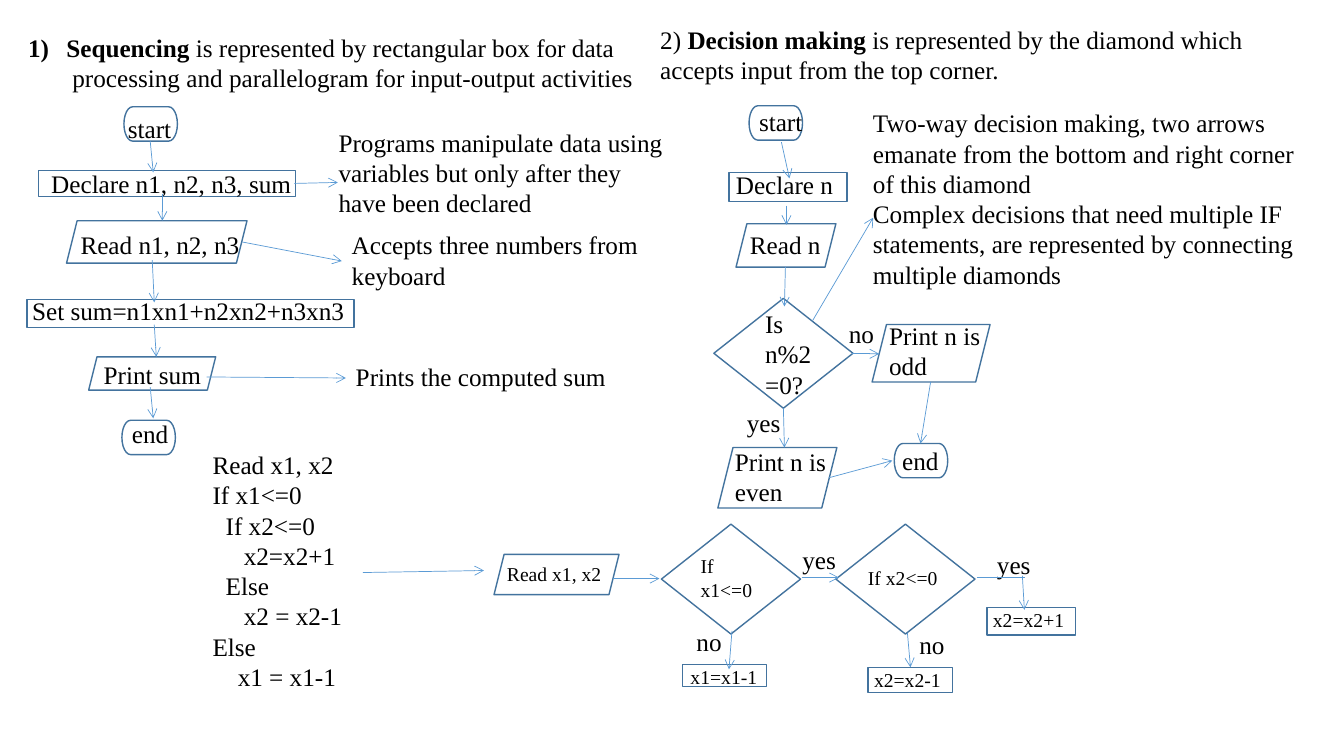
"""Build a slide of flowcharts for sequencing and decision making."""
from lxml.etree import SubElement
from pptx import Presentation
from pptx.dml.color import RGBColor
from pptx.enum.shapes import MSO_CONNECTOR, MSO_SHAPE
from pptx.enum.text import MSO_AUTO_SIZE
from pptx.oxml.ns import qn
from pptx.util import Inches, Pt

COLORS = {"ink": "000000", "edge": "43739E", "arrow": "5B9BD5"}
FONT = {"name": "Times New Roman"}
FRAME = {"auto_size": MSO_AUTO_SIZE.SHAPE_TO_FIT_TEXT}

deck = Presentation()
deck.slide_width, deck.slide_height = Inches(13.33), Inches(7.5)
slide = deck.slides.add_slide(deck.slide_layouts[6])


def write(left, top, width, height, text, size=18):
    box = slide.shapes.add_textbox(*map(Inches, (left, top, width, height)))
    frame = box.text_frame
    for key, value in FRAME.items():
        setattr(frame, key, value)
    frame.word_wrap = height > 0.5
    for row, line in enumerate(text.split("\n")):
        para = frame.paragraphs[0] if row == 0 else frame.add_paragraph()
        for part, words in enumerate(line.split("*")):
            if words:
                run = para.add_run()
                run.text = words
                for key, value in FONT.items():
                    setattr(run.font, key, value)
                run.font.size = Pt(size)
                run.font.bold = part % 2 == 1
                run.font.color.rgb = RGBColor.from_string(COLORS["ink"])
    return frame.paragraphs


def link(start, end, head=True):
    line = slide.shapes.add_connector(
        MSO_CONNECTOR.STRAIGHT, *map(Inches, (*start, *end)))
    line.line.width = Pt(0.5)
    line.line.color.rgb = RGBColor.from_string(COLORS["arrow"])
    if head:
        SubElement(line.line._get_or_add_ln(), qn("a:tailEnd"), type="arrow")
    SubElement(line._element.spPr, qn("a:effectLst"))


SHAPES = {
    MSO_SHAPE.FLOWCHART_TERMINATOR: [
        (1.23, 1.06, 0.53, 0.34), (1.21, 4.17, 0.53, 0.34),
        (7.43, 1.05, 0.53, 0.34), (8.87, 4.4, 0.53, 0.34)],
    MSO_SHAPE.RECTANGLE: [
        (0.38, 1.69, 2.55, 0.26), (0.27, 2.97, 3.24, 0.28),
        (7.23, 1.71, 1.17, 0.29), (6.77, 6.59, 0.83, 0.22),
        (8.61, 6.62, 0.84, 0.25), (9.79, 6.03, 0.88, 0.27)],
    MSO_SHAPE.PARALLELOGRAM: [
        (0.66, 2.19, 1.79, 0.42), (0.88, 3.54, 1.26, 0.33),
        (7.3, 2.22, 0.99, 0.43), (7.12, 4.44, 1.18, 0.6),
        (8.65, 3.22, 1.17, 0.57), (4.9, 5.5, 1.24, 0.4)],
    MSO_SHAPE.FLOWCHART_DECISION: [
        (7.08, 2.96, 1.38, 1.09), (6.56, 5.2, 1.38, 1.09),
        (8.29, 5.2, 1.38, 1.09)],
}
for kind, spots in SHAPES.items():
    for spot in spots:
        shape = slide.shapes.add_shape(kind, *map(Inches, spot))
        shape.shadow.inherit = False
        shape.fill.background()
        shape.line.width = Pt(1)
        shape.line.color.rgb = RGBColor.from_string(COLORS["edge"])

LABELS = [
    (1.17, 1.08, 0.68, 0.4, "start"),
    (0.41, 1.62, 2.68, 0.4, "Declare n1, n2, n3, sum"),
    (0.7, 2.23, 1.81, 0.4, "Read n1, n2, n3"),
    (0.22, 2.88, 3.35, 0.4, "Set sum=n1xn1+n2xn2+n3xn3"),
    (0.93, 3.52, 1.17, 0.4, "Print sum"),
    (1.21, 4.1, 0.63, 0.4, "end"),
    (3.26, 1.21, 3.51, 1.01, "Programs manipulate data using\n"
     "variables but only after they have been declared"),
    (3.39, 2.23, 3.08, 0.71, "Accepts three numbers from\nkeyboard"),
    (3.43, 3.54, 2.69, 0.4, "Prints the computed sum"),
    (6.45, 0.19, 6.63, 0.71, "2) *Decision making* is represented by the "
     "diamond which accepts input from the top corner."),
    (7.43, 1.01, 0.64, 0.4, "start"),
    (7.2, 1.63, 1.19, 0.4, "Declare n"),
    (7.34, 2.23, 0.9, 0.4, "Read n"),
    (7.49, 3.01, 0.89, 1.01, "Is n%2 =0?"),
    (7.19, 4.38, 1.19, 0.71, "Print n is even"),
    (8.72, 3.13, 1.19, 0.71, "Print n is odd"),
    (8.85, 4.37, 0.56, 0.4, "end"),
    (8.56, 1.02, 4.6, 1.92, "Two-way decision making, two arrows emanate "
     "from the bottom and right corner of this diamond\n"
     "Complex decisions that need multiple IF statements, are represented "
     "by connecting multiple diamonds"),
    (7.31, 3.99, 0.6, 0.4, "yes"),
    (8.32, 3.11, 0.46, 0.4, "no"),
    (9.79, 5.4, 0.6, 0.4, "yes"),
    (7.86, 5.35, 0.6, 0.4, "yes"),
    (9.02, 6.19, 0.47, 0.4, "no"),
    (6.81, 6.16, 0.46, 0.4, "no"),
    (4.93, 5.53, 1.17, 0.34, "Read x1, x2", 14),
    (6.85, 5.45, 0.86, 0.57, "If x1<=0", 14),
    (8.51, 5.57, 0.92, 0.34, "If x2<=0", 14),
    (9.75, 5.98, 0.93, 0.34, "x2=x2+1", 14),
    (8.57, 6.58, 0.89, 0.34, "x2=x2-1", 14),
    (6.75, 6.55, 0.89, 0.34, "x1=x1-1", 14),
]
for label in LABELS:
    write(*label)

title = write(0.18, 0.27, 6.26, 0.71,
              "*Sequencing* is represented by rectangular box for data\n"
              "processing and parallelogram for input-output activities")
code = write(2.01, 4.41, 1.59, 2.52,
             "Read x1, x2\nIf x1<=0\nIf x2<=0\nx2=x2+1\n"
             "Else\nx2 = x2-1\nElse\nx1 = x1-1")
INDENTS = [0.38, 0.44, 0, 0, 0.13, 0.31, 0.13, 0.31, 0, 0.25]
for para, indent in zip(title + code, INDENTS):
    para._p.get_or_add_pPr().set("marL", str(Inches(indent)))
first = title[0]._p.get_or_add_pPr()
first.set("indent", str(-Inches(0.38)))
SubElement(first, qn("a:buFont"), typeface=FONT["name"])
SubElement(first, qn("a:buAutoNum"), type="arabicParenR")

ARROWS = [
    ((1.49, 1.4), (1.52, 1.71)), ((1.61, 1.92), (1.61, 2.19)),
    ((1.51, 2.58), (1.53, 3)), ((1.53, 3.22), (1.55, 3.54)),
    ((1.49, 3.84), (1.52, 4.15)), ((2.92, 1.82), (3.35, 1.81)),
    ((2.4, 2.4), (3.39, 2.59)), ((2.05, 3.74), (3.43, 3.75)),
    ((7.75, 1.41), (7.83, 1.77)), ((7.8, 2.04), (7.8, 2.23)),
    ((7.79, 2.65), (7.78, 3.04)), ((7.77, 4.05), (7.78, 4.44)),
    ((8.45, 3.51), (8.72, 3.51)), ((9.23, 3.79), (9.13, 4.4)),
    ((8.22, 4.74), (8.85, 4.57)), ((8.06, 3.18), (8.66, 2.16)),
    ((3.6, 5.68), (4.8, 5.66)), ((6.08, 5.74), (6.54, 5.74)),
    ((7.95, 5.73), (8.32, 5.73)), ((9, 6.28), (9.03, 6.62)),
    ((10.14, 5.71), (10.16, 6.05)), ((7.26, 6.26), (7.23, 6.64)),
]
for start, end in ARROWS:
    link(start, end)
link((9.69, 5.73), (10.17, 5.73), head=False)

deck.save("out.pptx")
